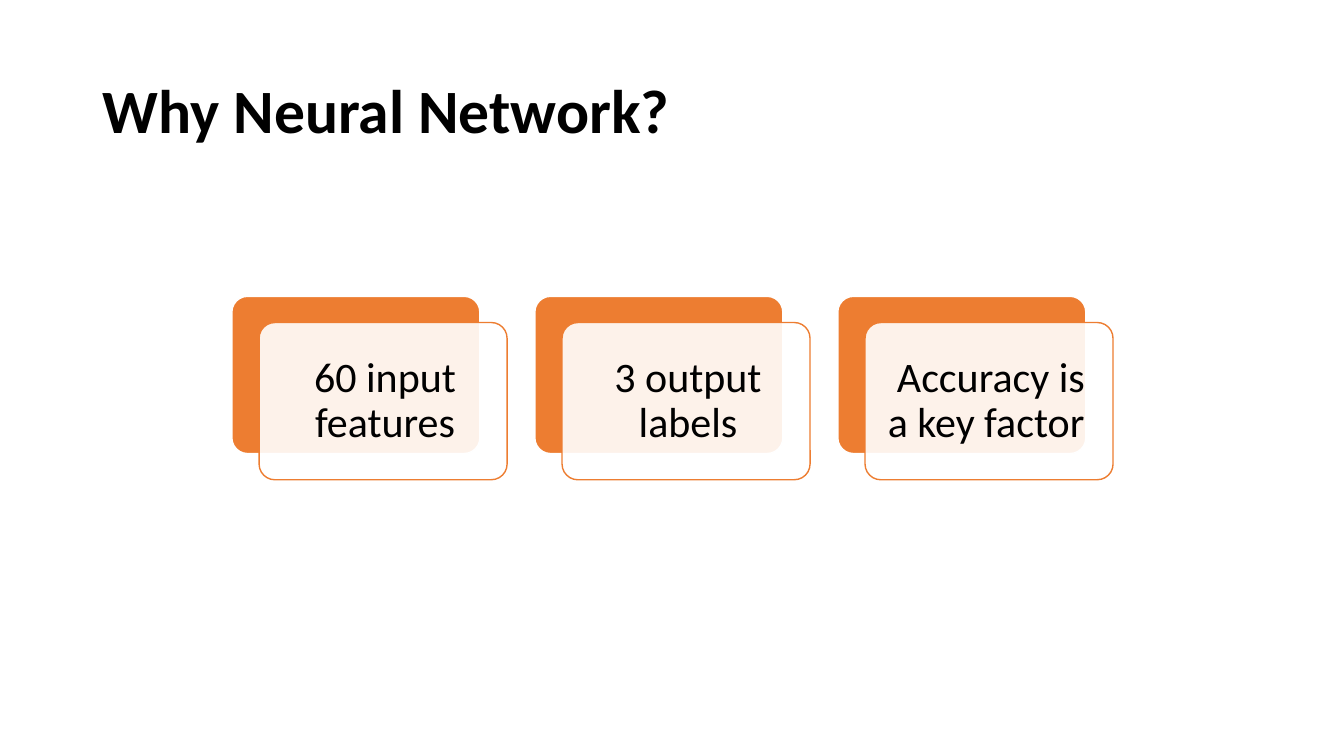
from lxml.etree import SubElement
from pptx import Presentation
from pptx.dml.color import RGBColor
from pptx.enum.shapes import MSO_SHAPE as Shape
from pptx.enum.text import MSO_ANCHOR as Anchor, PP_ALIGN as Align
from pptx.oxml.ns import qn
from pptx.util import Inches, Pt


def write(frame, text, size, bold=False, align=Align.LEFT, after=0):
    frame.word_wrap = True
    frame.vertical_anchor = Anchor.MIDDLE
    paragraph = frame.paragraphs[0]
    paragraph.alignment = align
    paragraph.line_spacing = 0.9
    paragraph.space_after = Pt(after)
    run = paragraph.add_run()
    run.text = text
    run.font.name = "Calibri"
    run.font.size = Pt(size)
    run.font.bold = bold
    run.font.color.rgb = RGBColor.from_string("000000")


def add_card(shapes, left, top, fill, line):
    card = shapes.add_shape(Shape.ROUNDED_RECTANGLE, Inches(left), Inches(top),
                            Inches(2.46), Inches(1.56))
    card.adjustments[0] = 0.1
    card.shadow.inherit = False
    card.fill.solid()
    card.fill.fore_color.rgb = RGBColor.from_string(fill)
    card.line.color.rgb = RGBColor.from_string(line)
    card.line.width = Pt(1)
    return card


prs = Presentation()
prs.slide_width = Inches(13.33)
prs.slide_height = Inches(7.5)
slide = prs.slides.add_slide(prs.slide_layouts[5])

title = slide.shapes.title
title.left, title.top = Inches(0.92), Inches(0.4)
title.width, title.height = Inches(11.5), Inches(1.45)
write(title.text_frame, "Why Neural Network?", 44, bold=True)

reasons = ["60 input features", "3 output labels", "Accuracy is a key factor "]
for index, reason in enumerate(reasons):
    left = 2.3 + index * 3.005
    group = slide.shapes.add_group_shape()
    add_card(group.shapes, left, 2.94, "ED7D31", "FFFFFF")
    front = add_card(group.shapes, left + 0.27, 3.2, "FFFFFF", "ED7D31")
    white = front.fill._xPr.find(qn("a:solidFill"))[0]
    SubElement(white, qn("a:alpha"), val="90000")
    frame = front.text_frame
    frame.margin_left = frame.margin_top = frame.margin_bottom = Inches(0.17)
    frame.margin_right = Inches(0.13)
    write(frame, reason, 30, align=Align.CENTER, after=10.5)

prs.save("out.pptx")
